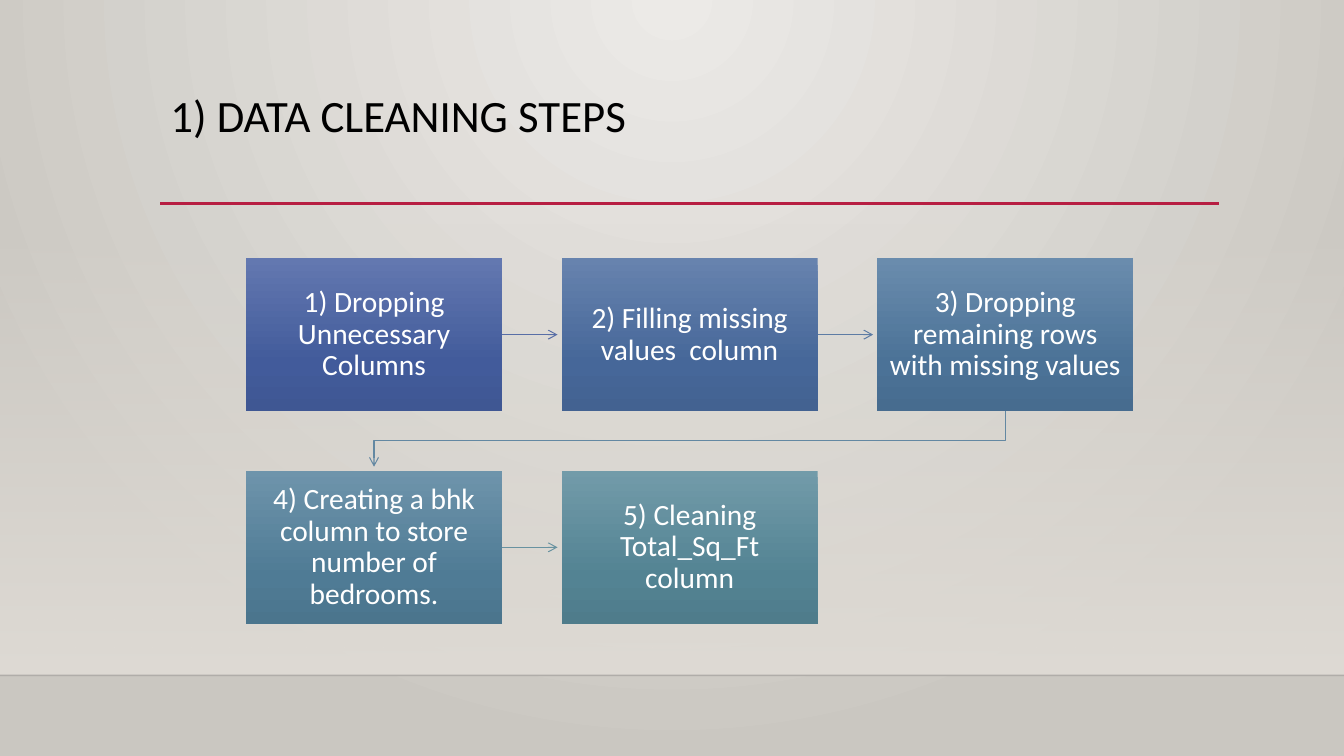
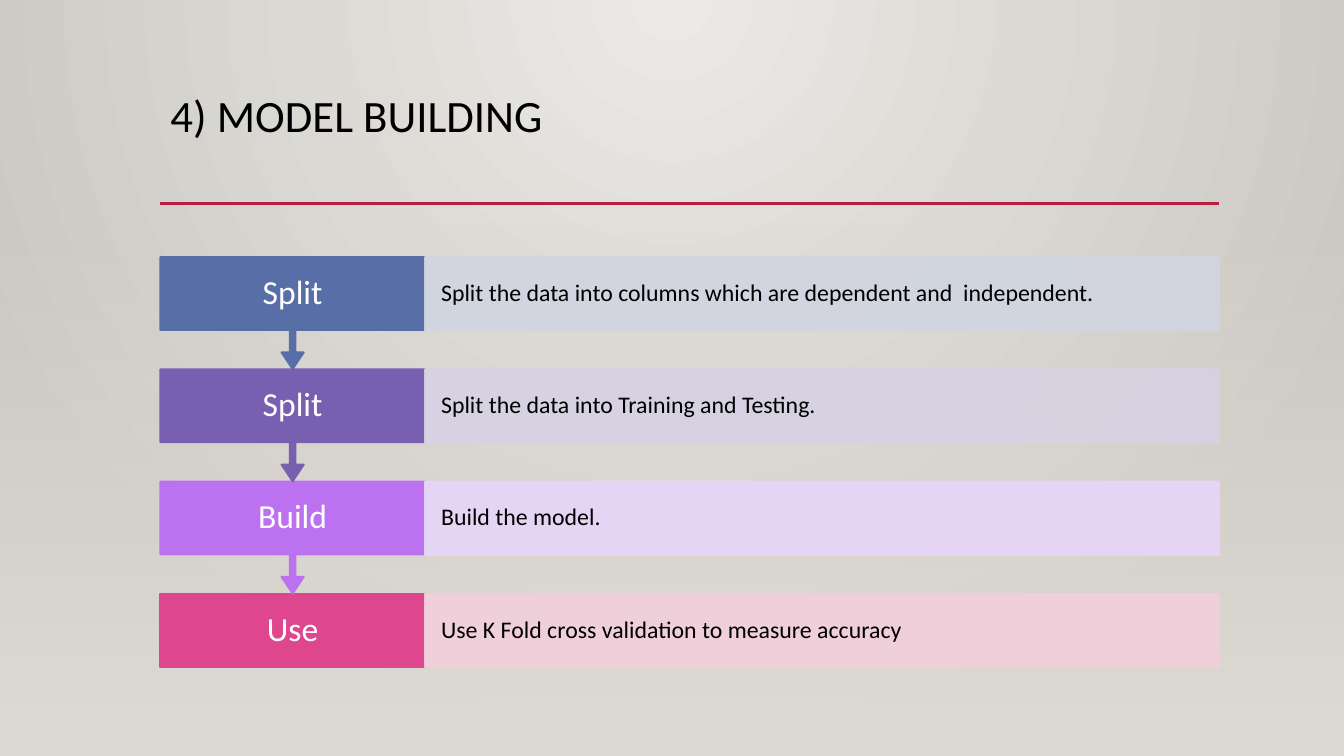
from lxml import etree
from pptx import Presentation
from pptx.dml.color import RGBColor
from pptx.enum.shapes import MSO_CONNECTOR, MSO_SHAPE
from pptx.enum.text import MSO_ANCHOR, MSO_AUTO_SIZE, PP_ALIGN
from pptx.oxml.ns import nsdecls, qn
from pptx.oxml import parse_xml
from pptx.util import Inches, Pt

# Content: text, three gradient colours, colour of the outgoing arrow
CLEANING_TITLE = "1) DATA CLEANING STEPS"
CLEANING_STEPS = [
    ("1) Dropping Unnecessary Columns", ("6378B0", "425B9B", "3F5793"), "586EA6"),
    ("2) Filling missing values  column", ("6783AE", "466799", "436291"), "5D7CA4"),
    ("3) Dropping remaining rows with missing values", ("6A8CAD", "4B7297", "476C8F"), "6388A2"),
    ("4) Creating a bhk column to store number of bedrooms.", ("6E94AB", "4F7B95", "4B758D"), "6892A0"),
    ("5) Cleaning Total_Sq_Ft column", ("729BA9", "538393", "4F7C8B"), None),
]

# Content: label, description, label colour, description colour
MODEL_TITLE = "4) MODEL BUILDING"
MODEL_STEPS = [
    ("Split", "Split the data into columns which are dependent and  independent.", "586EA6", "D1D5E1"),
    ("Split", "Split the data into Training and Testing.", "795FAF", "D7D2E3"),
    ("Build", "Build the model.", "BC72F0", "E7D5F9"),
    ("Use", "Use K Fold cross validation to measure accuracy", "DE478E", "F2CFDB"),
]

# Shared style
COLORS = {
    "black": "000000", "white": "FFFFFF", "rule": "B71E42", "floor": "000001",
    "fade": "DFDBD5", "center": "ECEAE7", "edge": "CAC7C1",
}
FONT = "Calibri"
RECTANGLE = MSO_SHAPE.RECTANGLE
CALLOUT = MSO_SHAPE.DOWN_ARROW_CALLOUT
STRAIGHT = MSO_CONNECTOR.STRAIGHT
LEFT, CENTER = PP_ALIGN.LEFT, PP_ALIGN.CENTER
TOP, MIDDLE = MSO_ANCHOR.TOP, MSO_ANCHOR.MIDDLE
LINEAR = '<a:lin ang="5400000" scaled="0"/>'
RADIAL = '<a:path path="circle"><a:fillToRect l="43000" r="43000" b="100000"/></a:path>'

# Shared layout, in inches
WIDTH, HEIGHT = 13.33, 7.5
MARGIN, CONTENT_WIDTH = 1.59, 10.5
TITLE_TOP, TITLE_HEIGHT = 0.88, 1.15
RULE_Y, FADE_TOP, FLOOR_Y = 2.02, 2.21, 6.7

# Flow grid
FLOW_COLUMNS = 3
FLOW_LEFT, FLOW_TOP = 2.44, 2.56
BOX_WIDTH, BOX_HEIGHT, BOX_GAP = 2.54, 1.52, 0.59
ARROW_LENGTH = 0.55

# Stack of labelled bars
STACK_TOP, STACK_LAST = 2.55, 5.89
BAR_HEIGHT = 0.73
LABEL_WIDTH = CONTENT_WIDTH / 4
CALLOUT_SHARES = (0.05, 0.1, 0.15, 0.65)


def rgb(value):
    """Turn a hex string into a colour."""
    return RGBColor.from_string(value)


def set_alpha(part, percent):
    """Set the opacity of every colour inside an XML part."""
    for color in part.iter(qn("a:srgbClr")):
        etree.SubElement(color, qn("a:alpha")).set("val", str(percent * 1000))


def paint_gradient(fill, owner, stops, direction):
    """Fill the owner element with stops of position, colour and opacity."""
    fill.solid()
    marks = "".join(
        f'<a:gs pos="{position * 1000}"><a:srgbClr val="{color}">'
        f'<a:alpha val="{opacity * 1000}"/></a:srgbClr></a:gs>'
        for position, color, opacity in stops)
    gradient = parse_xml(
        f'<a:gradFill {nsdecls("a")} rotWithShape="1"><a:gsLst>{marks}</a:gsLst>'
        f"{direction}</a:gradFill>")
    solid = owner.find(qn("a:solidFill"))
    owner.replace(solid, gradient)


def add_block(slide, left, top, width, height, kind=RECTANGLE):
    """Add a preset shape without shadow or outline."""
    shape = slide.shapes.add_shape(
        kind, Inches(left), Inches(top), Inches(width), Inches(height))
    shape.shadow.inherit = False
    shape.line.fill.background()
    return shape


def paint_flat(shape, color, opacity=100):
    """Give a shape one colour for fill and outline."""
    shape.fill.solid()
    shape.fill.fore_color.rgb = rgb(color)
    shape.line.color.rgb = rgb(color)
    shape.line.width = Pt(1.25)
    if opacity < 100:
        set_alpha(shape.element.spPr, opacity)


def write(shape, text, size, color, align=CENTER, anchor=MIDDLE, insets=(0.1, 0.05)):
    """Write one paragraph; insets are horizontal and vertical."""
    frame = shape.text_frame
    frame.text = text
    frame.word_wrap = True
    frame.auto_size = MSO_AUTO_SIZE.NONE
    frame.vertical_anchor = anchor
    frame.margin_left = frame.margin_right = Inches(insets[0])
    frame.margin_top = frame.margin_bottom = Inches(insets[1])
    paragraph = frame.paragraphs[0]
    paragraph.alignment = align
    paragraph.line_spacing = 0.9
    font = paragraph.runs[0].font
    font.name, font.size, font.color.rgb = FONT, Pt(size), rgb(COLORS[color])


def add_line(slide, start, end, color, width, opacity=100):
    """Add a straight line without shadow."""
    line = slide.shapes.add_connector(
        STRAIGHT, *(Inches(value) for value in (*start, *end)))
    line.line.color.rgb = rgb(color)
    line.line.width = Pt(width)
    properties = line.element.spPr
    etree.SubElement(properties, qn("a:effectLst"))
    if opacity < 100:
        set_alpha(properties, opacity)
    return line


def add_arrow(slide, points, color):
    """Add an arrow through two points, or an angled one through more."""
    if len(points) == 2:
        arrow = add_line(slide, *points, color, 0.75)
    else:
        corners = [(Inches(x), Inches(y)) for x, y in points]
        builder = slide.shapes.build_freeform(*corners[0])
        builder.add_line_segments(corners[1:], close=False)
        arrow = builder.convert_to_shape()
        arrow.shadow.inherit = False
        arrow.fill.background()
        arrow.line.color.rgb = rgb(color)
        arrow.line.width = Pt(0.75)
    outline = arrow.element.spPr.find(qn("a:ln"))
    etree.SubElement(outline, qn("a:tailEnd")).set("type", "arrow")


def add_titled_slide(presentation, title, fade_bottom):
    """Add a slide with the shared title, rule and fade."""
    slide = presentation.slides.add_slide(presentation.slide_layouts[5])
    fade = add_block(slide, 0, FADE_TOP, WIDTH, fade_bottom - FADE_TOP)
    paint_gradient(fade.fill, fade.element.spPr,
                   [(0, COLORS["fade"], 0), (100, COLORS["fade"], 100)], LINEAR)
    if fade_bottom < HEIGHT:
        add_line(slide, (0, fade_bottom), (WIDTH, fade_bottom), COLORS["floor"], 1, 20)
    add_line(slide, (MARGIN, RULE_Y), (MARGIN + CONTENT_WIDTH, RULE_Y), COLORS["rule"], 2.5)
    heading = slide.shapes.title
    heading.left, heading.top = Inches(MARGIN), Inches(TITLE_TOP)
    heading.width, heading.height = Inches(CONTENT_WIDTH), Inches(TITLE_HEIGHT)
    write(heading, title, 32, "black", LEFT, TOP)
    return slide


def flow_position(index):
    """Return left and top of a box in the flow grid."""
    row, column = divmod(index, FLOW_COLUMNS)
    return (FLOW_LEFT + column * (BOX_WIDTH + BOX_GAP),
            FLOW_TOP + row * (BOX_HEIGHT + BOX_GAP))


def arrow_points(index):
    """Return the route from one box of the flow to the next."""
    left, top = flow_position(index)
    next_left, next_top = flow_position(index + 1)
    if next_top == top:
        start, middle = left + BOX_WIDTH, top + BOX_HEIGHT / 2
        return [(start, middle), (start + ARROW_LENGTH, middle)]
    start, bottom = left + BOX_WIDTH / 2, top + BOX_HEIGHT
    end, turn = next_left + BOX_WIDTH / 2, bottom + BOX_GAP / 2
    return [(start, bottom), (start, turn), (end, turn), (end, bottom + ARROW_LENGTH)]


def build_cleaning(presentation):
    """Build the flow of cleaning steps."""
    slide = add_titled_slide(presentation, CLEANING_TITLE, FLOOR_Y)
    for index, (text, shades, arrow_color) in enumerate(CLEANING_STEPS):
        if arrow_color:
            add_arrow(slide, arrow_points(index), arrow_color)
        box = add_block(slide, *flow_position(index), BOX_WIDTH, BOX_HEIGHT)
        stops = [(position, shade, 100) for position, shade in zip((0, 69, 100), shades)]
        paint_gradient(box.fill, box.element.spPr, stops, LINEAR)
        write(box, text, 21, "white", insets=(0.12, 0.13))


def build_model(presentation):
    """Build the stack of model steps, last one at the back."""
    slide = add_titled_slide(presentation, MODEL_TITLE, HEIGHT)
    last = len(MODEL_STEPS) - 1
    pitch = (STACK_LAST - STACK_TOP) / last
    for index, (label, text, color, tint) in reversed(list(enumerate(MODEL_STEPS))):
        top = STACK_TOP + index * pitch
        if index == last:
            tag = add_block(slide, MARGIN, top, LABEL_WIDTH, BAR_HEIGHT)
        else:
            tag = add_block(slide, MARGIN, top, LABEL_WIDTH, pitch, CALLOUT)
            for position, share in enumerate(CALLOUT_SHARES):
                tag.adjustments[position] = share
        paint_flat(tag, color)
        write(tag, label, 24, "white", insets=(0.19, 0.19))
        bar = add_block(slide, MARGIN + LABEL_WIDTH, top,
                        CONTENT_WIDTH - LABEL_WIDTH, BAR_HEIGHT)
        paint_flat(bar, tint, 90)
        write(bar, text, 17, "black", LEFT, insets=(0.16, 0.24))


def main():
    """Build and save the presentation."""
    presentation = Presentation()
    presentation.slide_width, presentation.slide_height = Inches(WIDTH), Inches(HEIGHT)
    master = presentation.slide_master
    fill = master.background.fill
    paint_gradient(fill, master.element.find(".//" + qn("p:bgPr")),
                   [(0, COLORS["center"], 100), (100, COLORS["edge"], 100)], RADIAL)
    build_cleaning(presentation)
    build_model(presentation)
    presentation.save("out.pptx")


main()
